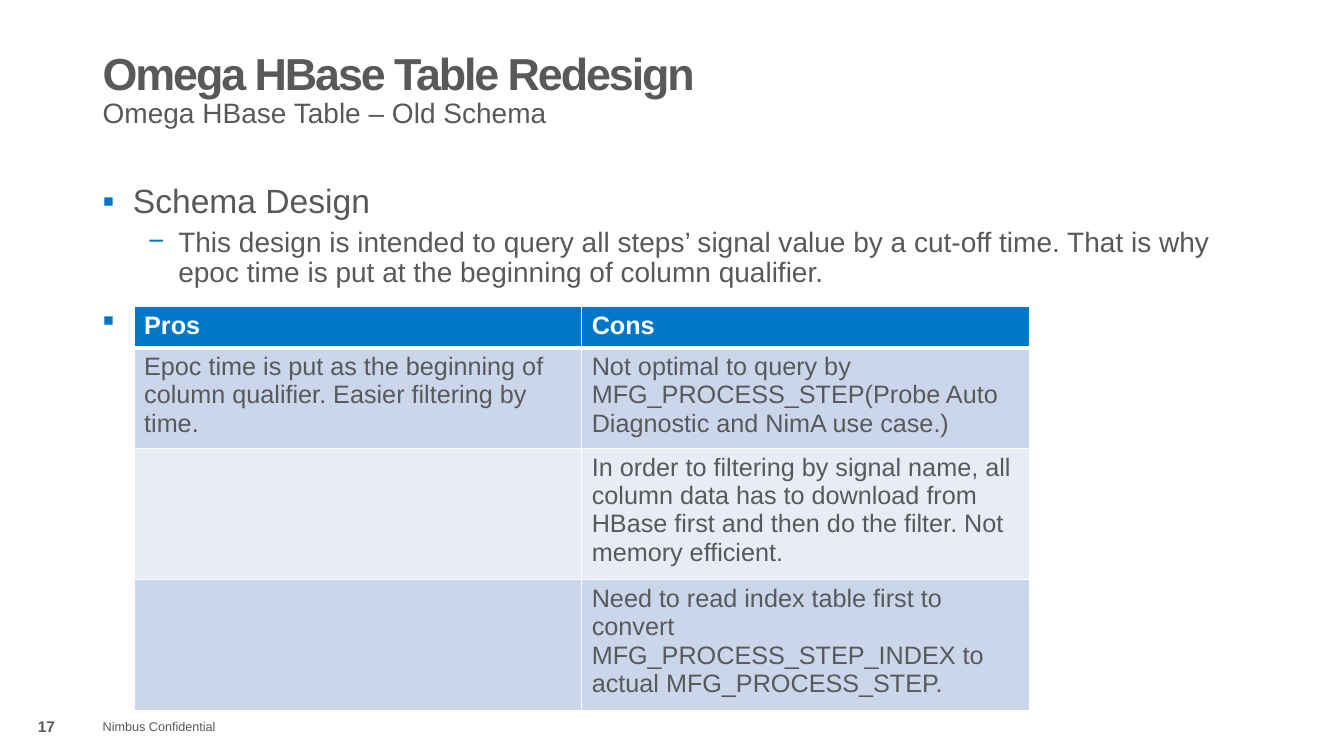
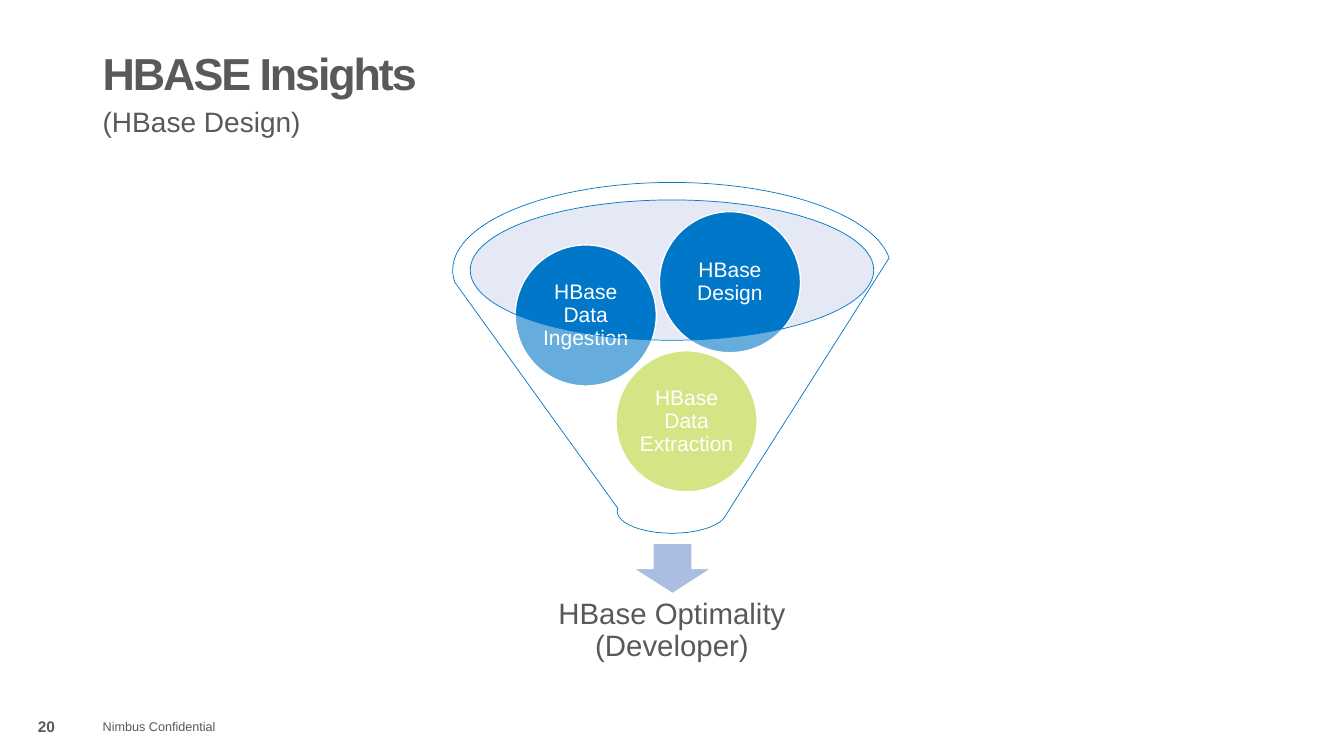
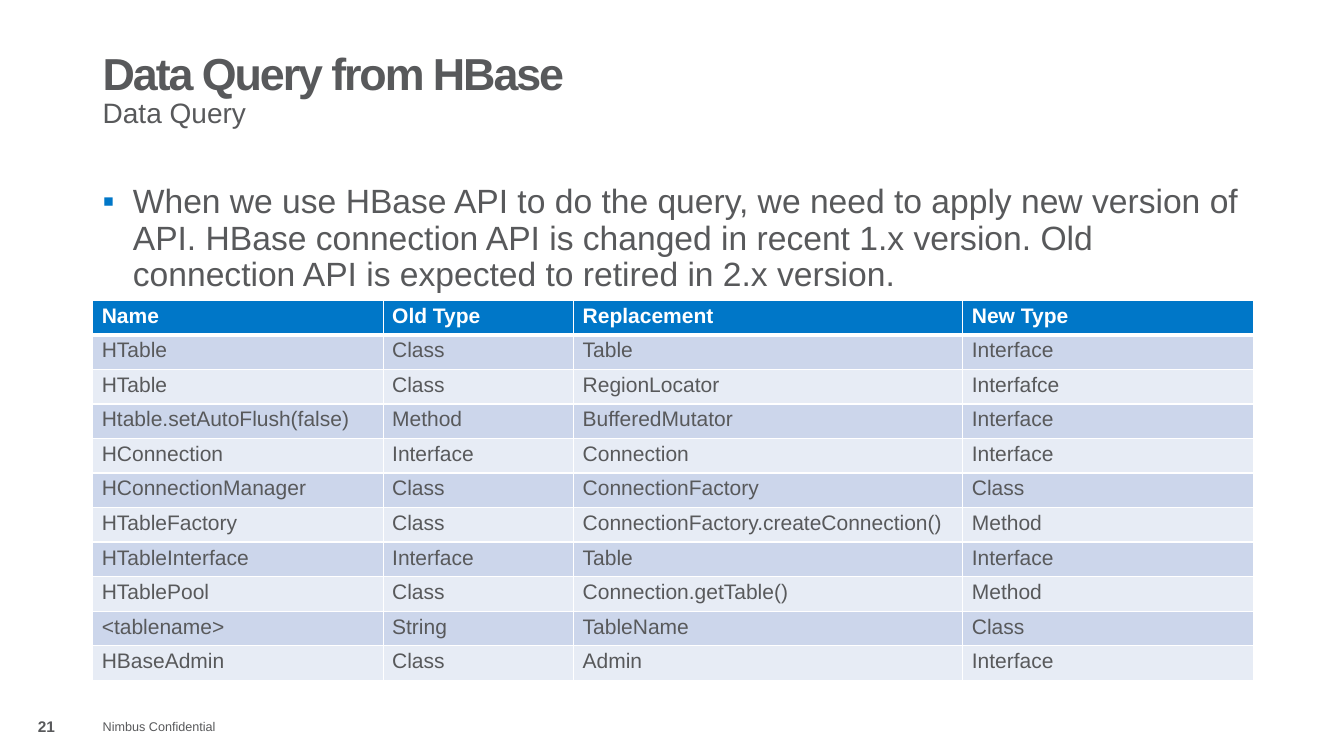
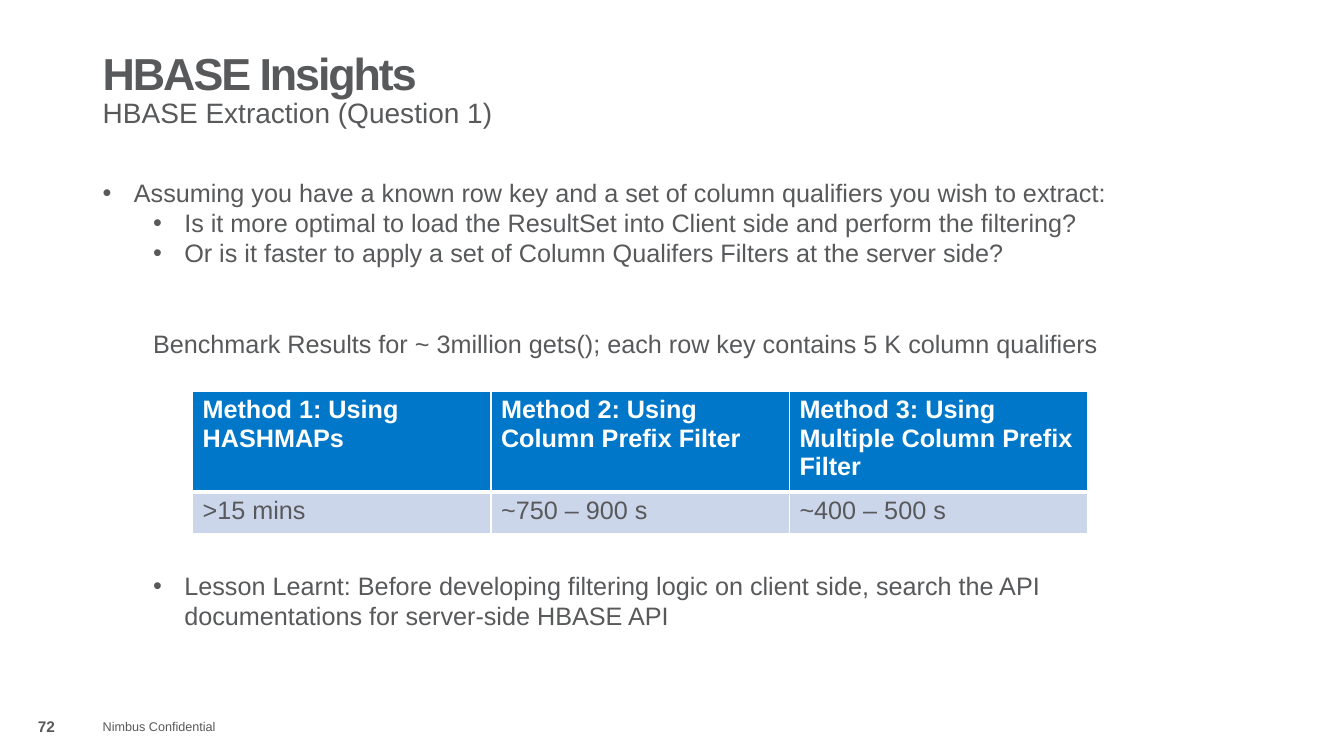
from lxml import etree
from pptx import Presentation
from pptx.dml.color import RGBColor
from pptx.enum.shapes import MSO_SHAPE
from pptx.enum.text import MSO_ANCHOR, PP_ALIGN
from pptx.oxml.ns import qn
from pptx.util import Pt

EMU_PER_PX = 9144
FONT = "Arial"
LINE_HEIGHT = 1.2
TIGHT = 0.9

GREY = RGBColor(0x58, 0x59, 0x5B)
BLUE = RGBColor(0x00, 0x77, 0xC8)
GREEN = RGBColor(0xB7, 0xD4, 0x33)
WHITE = RGBColor(0xFF, 0xFF, 0xFF)
BAND_DARK = RGBColor(0xCC, 0xD6, 0xEB)
BAND_LIGHT = RGBColor(0xE7, 0xEC, 0xF5)
FUNNEL_MOUTH = RGBColor(0xBD, 0xCA, 0xE6)
ARROW_BLUE = RGBColor(0xAB, 0xBD, 0xE0)

LEFT, CENTER = PP_ALIGN.LEFT, PP_ALIGN.CENTER
TOP, MIDDLE = MSO_ANCHOR.TOP, MSO_ANCHOR.MIDDLE
ELLIPSE, FUNNEL, DOWN_ARROW = MSO_SHAPE.OVAL, MSO_SHAPE.FUNNEL, MSO_SHAPE.DOWN_ARROW

BODY_BOX = (92, 178, 1150, 497)
SQUARE = ("▪", 30, 30, BLUE)
DASH = ("−", 75, 30, BLUE)
DOT = ("•", 31, 31, GREY)
SUB_DOT = ("•", 81, 31, GREY)

PROS_AND_CONS = [
    ("Pros", "Cons"),
    ("Epoc time is put as the beginning of column qualifier. Easier filtering by time.",
     "Not optimal to query by MFG_PROCESS_STEP(Probe Auto Diagnostic and NimA use case.)"),
    ("", "In order to filtering by signal name, all column data has to download from "
         "HBase first and then do the filter. Not memory efficient."),
    ("", "Need to read index table first to convert MFG_PROCESS_STEP_INDEX to actual "
         "MFG_PROCESS_STEP."),
]
API_CHANGES = [
    ("Name", "Old Type", "Replacement", "New Type"),
    ("HTable", "Class", "Table", "Interface"),
    ("HTable", "Class", "RegionLocator", "Interfafce"),
    ("Htable.setAutoFlush(false)", "Method", "BufferedMutator", "Interface"),
    ("HConnection", "Interface", "Connection", "Interface"),
    ("HConnectionManager", "Class", "ConnectionFactory", "Class"),
    ("HTableFactory", "Class", "ConnectionFactory.createConnection()", "Method"),
    ("HTableInterface", "Interface", "Table", "Interface"),
    ("HTablePool", "Class", "Connection.getTable()", "Method"),
    ("<tablename>", "String", "TableName", "Class"),
    ("HBaseAdmin", "Class", "Admin", "Interface"),
]
BENCHMARK = [
    ("Method 1: Using HASHMAPs", "Method 2: Using Column Prefix Filter",
     "Method 3: Using Multiple Column Prefix Filter"),
    (">15 mins", "~750 – 900 s", "~400 – 500 s"),
]


def px(length):
    return int(length * EMU_PER_PX)


def set_font(para, size, color, bold=False):
    font = para.font
    font.name, font.size, font.bold = FONT, Pt(size), bold
    font.color.rgb = color


def set_indent(para, left, hanging=0):
    properties = para._p.get_or_add_pPr()
    properties.set("marL", str(px(left)))
    properties.set("indent", str(-px(hanging)))
    return properties


def set_bullet(para, bullet):
    mark, left, hanging, color = bullet
    properties = set_indent(para, left, hanging)
    bullet_color = etree.SubElement(properties, qn("a:buClr"))
    etree.SubElement(bullet_color, qn("a:srgbClr"), val=str(color))
    etree.SubElement(properties, qn("a:buFont"), typeface=FONT)
    etree.SubElement(properties, qn("a:buChar"), char=mark)


def write(para, text, size, color=GREY, bold=False, align=LEFT, tightness=TIGHT,
          before=0, bullet=None, left=0):
    para.text = text
    para.alignment = align
    para.line_spacing = Pt(round(size * LINE_HEIGHT * tightness, 2))
    para.space_before = Pt(before)
    if bullet:
        set_bullet(para, bullet)
    else:
        set_indent(para, left)
    set_font(para, size, color, bold)


def set_insets(holder, horizontal, vertical):
    holder.margin_left = holder.margin_right = px(horizontal)
    holder.margin_top = holder.margin_bottom = px(vertical)


def add_text(page, box, paragraphs, anchor=TOP, insets=(10, 5)):
    """Add a wrapping text box; each paragraph is a dict of arguments for write()."""
    frame = page.shapes.add_textbox(*map(px, box)).text_frame
    frame.word_wrap = True
    frame.vertical_anchor = anchor
    set_insets(frame, *insets)
    for index, options in enumerate(paragraphs):
        para = frame.add_paragraph() if index else frame.paragraphs[0]
        write(para, **options)
    return frame


def add_line(page, box, text, size, **options):
    return add_text(page, box, [dict(text=text, size=size, **options)], MIDDLE)


def add_page(deck, number, title, subtitle, subtitle_top=93):
    page = deck.slides.add_slide(deck.slide_layouts[6])
    frame = add_line(page, (92, 40, 1150, 69), title, 32, bold=True)
    for run in frame.paragraphs[0].runs:
        run._r.get_or_add_rPr().set("spc", "-150")
    add_line(page, (92, subtitle_top, 1150, 40), subtitle, 20)
    add_line(page, (92, 701, 152, 40), "Nimbus Confidential", 9, tightness=1)
    add_line(page, (0, 701, 92, 40), str(number), 11, bold=True, align=CENTER, tightness=1)
    return page


def set_borders(cell, top, bottom):
    """Draw white cell borders; top and bottom are widths in points."""
    properties = cell._tc.get_or_add_tcPr()
    for index, (side, width) in enumerate((("L", 1), ("R", 1), ("T", top), ("B", bottom))):
        line = etree.Element(qn(f"a:ln{side}"), w=str(Pt(width)))
        fill = etree.SubElement(line, qn("a:solidFill"))
        etree.SubElement(fill, qn("a:srgbClr"), val=str(WHITE))
        properties.insert(index, line)


def add_grid(page, position, columns, heights, rows, size=18, insets=(10, 5)):
    """Add a table with a blue header row and two alternating body bands."""
    extent = (sum(columns), sum(heights))
    table = page.shapes.add_table(len(rows), len(columns),
                                  *map(px, position + extent)).table
    for column, width in zip(table.columns, columns):
        column.width = px(width)
    for row_index, (row, height, texts) in enumerate(zip(table.rows, heights, rows)):
        row.height = px(height)
        header = row_index == 0
        band = BAND_DARK if row_index % 2 else BAND_LIGHT
        for cell, text in zip(row.cells, texts):
            cell.text = text
            set_font(cell.text_frame.paragraphs[0], size, WHITE if header else GREY, header)
            set_insets(cell, *insets)
            cell.fill.solid()
            cell.fill.fore_color.rgb = BLUE if header else band
            set_borders(cell, 3 if row_index == 1 else 1, 3 if header else 1)


def add_figure(page, kind, box, fill, line=None, line_width=1, opacity=None):
    figure = page.shapes.add_shape(kind, *map(px, box))
    figure.shadow.inherit = False
    figure.fill.solid()
    figure.fill.fore_color.rgb = fill
    if opacity:
        color = figure._element.spPr.find(qn("a:solidFill"))[0]
        etree.SubElement(color, qn("a:alpha"), val=str(opacity * 1000))
    if line is None:
        figure.line.fill.background()
    else:
        figure.line.color.rgb = line
        figure.line.width = Pt(line_width)
    return figure


def add_ball(page, left, top, color, text):
    frame = add_figure(page, ELLIPSE, (left, top, 140, 140), color, WHITE).text_frame
    frame.word_wrap = True
    frame.vertical_anchor = MIDDLE
    set_insets(frame, 2, 2)
    write(frame.paragraphs[0], text, 15, WHITE, align=CENTER)


def build_schema_page(deck):
    page = add_page(deck, 17, "Omega HBase Table Redesign", "Omega HBase Table – Old Schema")
    add_text(page, BODY_BOX, [
        dict(text="Schema Design", size=24, bullet=SQUARE),
        dict(text="This design is intended to query all steps’ signal value by a cut-off "
                  "time. That is why epoc time is put at the beginning of column qualifier.",
             size=20, before=5, bullet=DASH),
        dict(text="▪", size=24, color=BLUE, before=10),
    ])
    add_grid(page, (133, 304), [444] * 2, [41, 93, 122, 122], PROS_AND_CONS)


def build_funnel_page(deck):
    page = add_page(deck, 20, "HBASE Insights", "(HBase Design)", subtitle_top=102)
    add_figure(page, ELLIPSE, (466, 198, 401, 139), FUNNEL_MOUTH, opacity=40)
    add_figure(page, DOWN_ARROW, (628, 539, 78, 50), ARROW_BLUE, WHITE)
    add_text(page, (480, 579, 373, 93),
             [dict(text="HBase Optimality (Developer)", size=21, align=CENTER)],
             MIDDLE, (16, 16))
    add_ball(page, 611, 348, GREEN, "HBase Data Extraction")
    add_ball(page, 511, 243, BLUE, "HBase Data Ingestion")
    add_ball(page, 654, 210, BLUE, "HBase Design")
    add_figure(page, FUNNEL, (449, 181, 435, 348), WHITE, BLUE, 0.5, opacity=40)


def build_query_page(deck):
    page = add_page(deck, 21, "Data Query from HBase", "Data Query")
    add_text(page, BODY_BOX, [
        dict(text="When we use HBase API to do the query, we need to apply new version of "
                  "API. HBase connection API is changed in recent 1.x version. Old "
                  "connection API is expected to retired in 2.x version.",
             size=24, bullet=SQUARE),
    ])
    row_count = len(API_CHANGES)
    add_grid(page, (92, 298), [288, 189, 386, 288], [377 / row_count] * row_count,
             API_CHANGES, size=15, insets=(9, 4))


def build_extraction_page(deck):
    page = add_page(deck, 72, "HBASE Insights", "HBASE Extraction (Question 1)")
    size = 18
    line = size * LINE_HEIGHT
    common = dict(size=size, tightness=1)
    add_text(page, (92, 171, 1087, 464), [
        dict(common, bullet=DOT, text="Assuming you have a known row key and a set of "
                                      "column qualifiers you wish to extract:"),
        dict(common, bullet=SUB_DOT, text="Is it more optimal to load the ResultSet into "
                                          "Client side and perform the filtering?"),
        dict(common, bullet=SUB_DOT, text="Or is it faster to apply a set of Column "
                                          "Qualifers Filters at the server side?"),
        dict(common, left=50, before=2 * line,
             text="Benchmark Results for ~ 3million gets(); each row key contains 5 K "
                  "column qualifiers"),
        dict(common, bullet=SUB_DOT, before=7 * line,
             text="Lesson Learnt: Before developing filtering logic on client side, search "
                  "the API documentations for server-side HBASE API"),
    ])
    add_grid(page, (191, 388), [296] * 3, [100, 41], BENCHMARK)


def main():
    deck = Presentation()
    deck.slide_width, deck.slide_height = px(1333), px(750)
    build_schema_page(deck)
    build_funnel_page(deck)
    build_query_page(deck)
    build_extraction_page(deck)
    deck.save("out.pptx")


if __name__ == "__main__":
    main()
